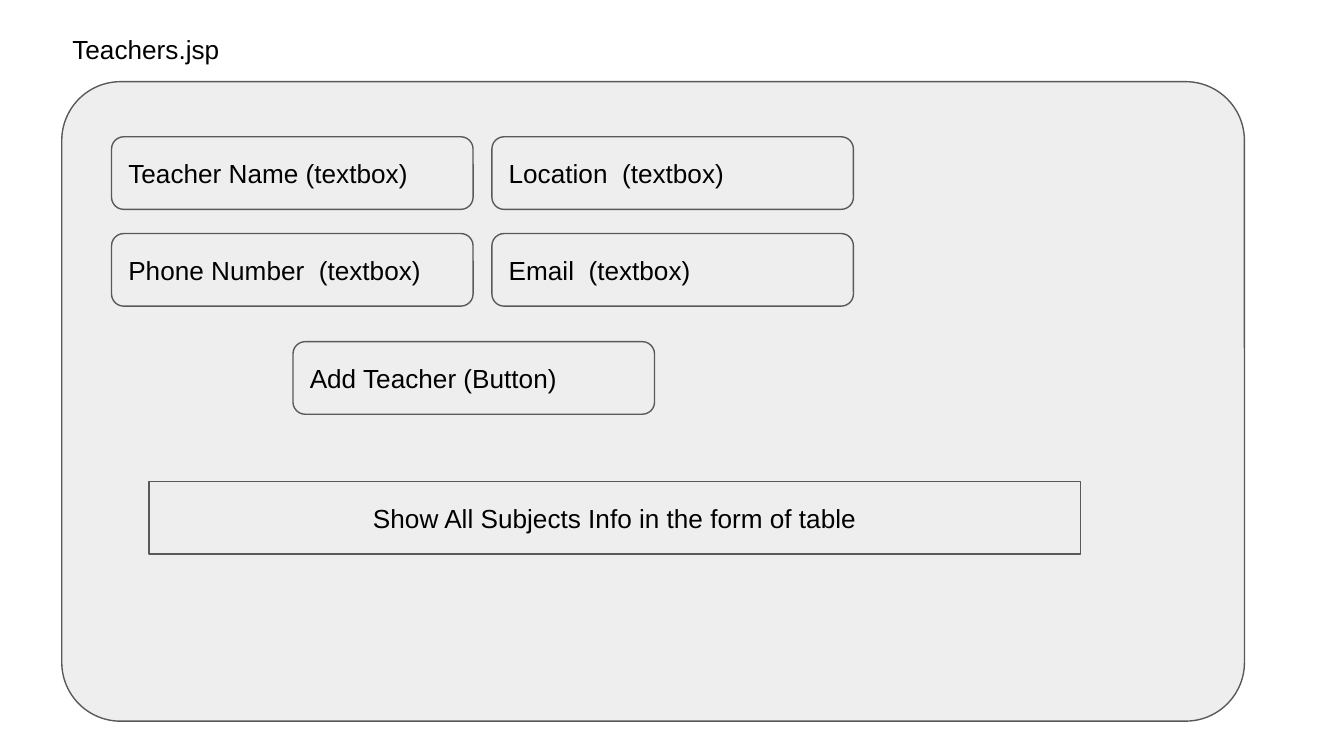
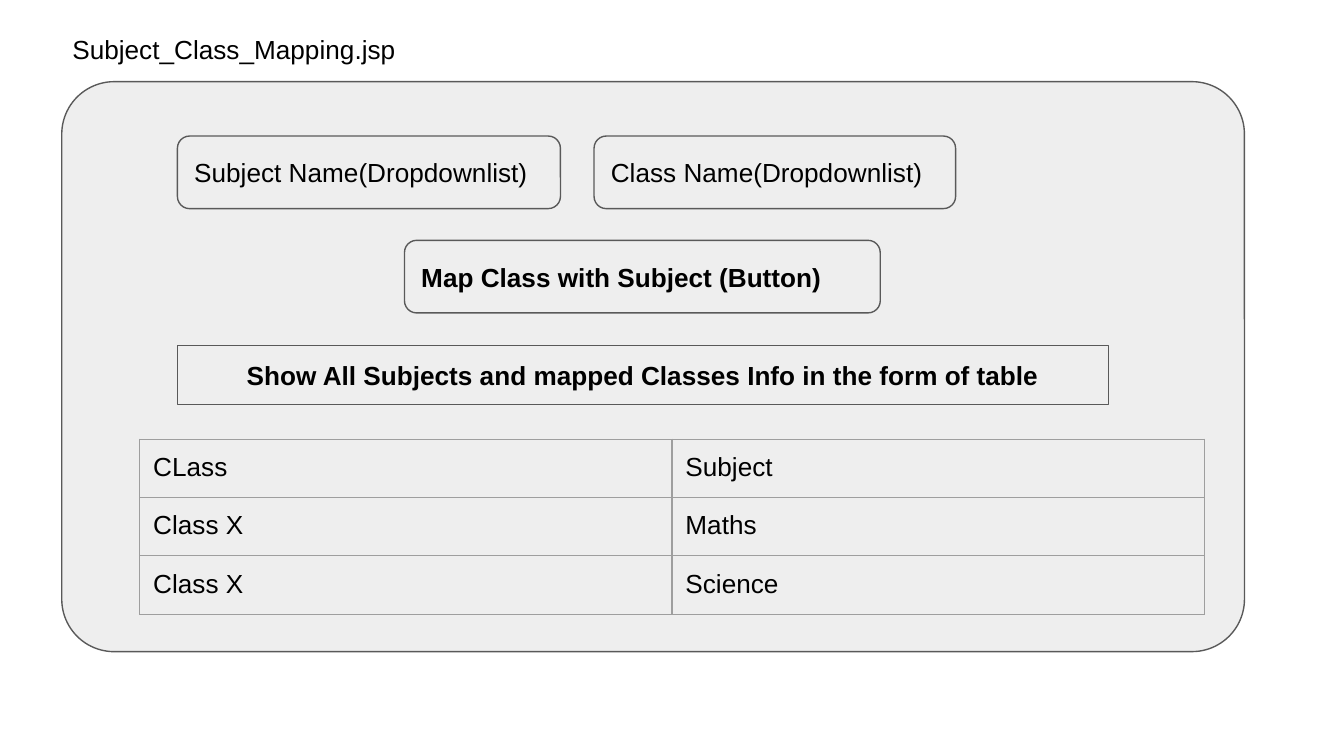
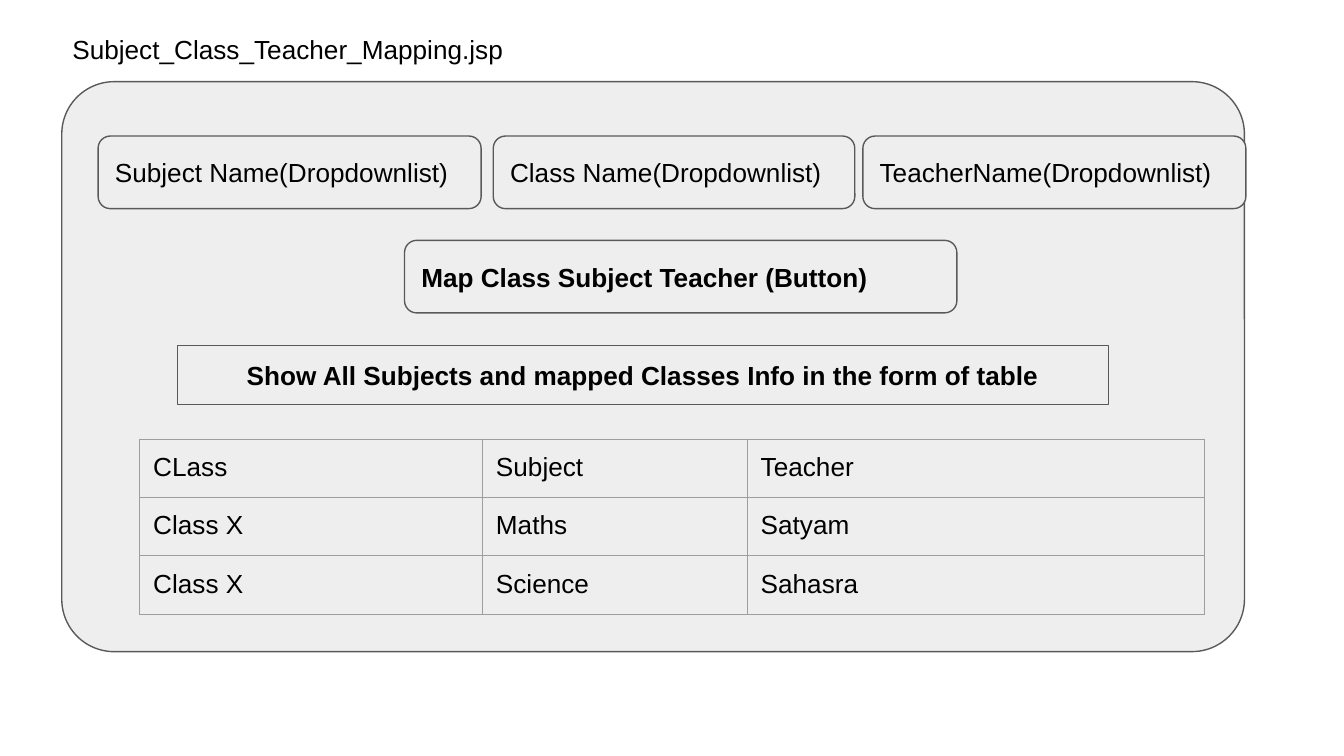
from dataclasses import dataclass
from itertools import product

from lxml.etree import SubElement as Sub
from pptx import Presentation
from pptx.dml.color import RGBColor as Rgb
from pptx.enum.shapes import MSO_SHAPE as Kind
from pptx.enum.text import MSO_ANCHOR as Anchor, MSO_AUTO_SIZE as Fit, PP_ALIGN as Align
from pptx.oxml.ns import qn
from pptx.util import Inches, Pt

WIDE, HIGH = Inches(10), Inches(5.625)


@dataclass(frozen=True)
class Theme:
    """Colours, type and line sizes of all slides."""
    ink: str = "000000"
    fill: str = "EEEEEE"
    edge: str = "595959"
    rule: str = "9E9E9E"
    font: str = "Arial"
    size: float = 14
    line: float = 0.75
    inset: float = 0.1


@dataclass(frozen=True)
class Box:
    """A place, in percent of the slide's width and height."""
    x: float
    y: float
    w: float
    h: float

    def emu(self) -> tuple[int, int, int, int]:
        """Left, top, width and height in slide units."""
        return (int(WIDE * self.x / 100), int(HIGH * self.y / 100),
                int(WIDE * self.w / 100), int(HIGH * self.h / 100))


@dataclass(frozen=True)
class Field:
    """A labelled control on a page."""
    text: str
    box: Box
    bold: bool = False


@dataclass(frozen=True)
class Grid:
    """A table: column widths in percent, and rows of words."""
    cols: tuple[float, ...]
    rows: tuple[tuple[str, ...], ...]


@dataclass(frozen=True)
class Page:
    """One mock-up screen."""
    title: str
    span: float
    depth: float
    fields: tuple[Field, ...]
    note: Field
    grid: Grid | None = None


LOOK = Theme()
TALL = 9.6    # height of a control
SLIM = 26.9   # width of a text box or short list
LONG = 28.5   # width of a long list
BAR = 69.3    # width of the table note
TOP = 18.0    # first row of lists
NEXT = 31.8   # row of the mapping button
TITLE = Box(4.4, 2.7, 0, 7.8)
PANEL = Box(4.6, 10.8, 88, 0)
TABLE = Box(10.4, 58.1, 79.2, 7.5)


def write(frame, text: str, bold: bool = False, align=Align.LEFT) -> None:
    """Put one styled run into a text frame."""
    para = frame.paragraphs[0]
    para.alignment = align
    run = para.add_run()
    run.text = text
    font = run.font
    font.name, font.size, font.bold = LOOK.font, Pt(LOOK.size), bold
    font.color.rgb = Rgb.from_string(LOOK.ink)


def pad(item) -> None:
    """Give a frame or cell equal margins."""
    item.margin_left = item.margin_right = Inches(LOOK.inset)
    item.margin_top = item.margin_bottom = Inches(LOOK.inset)


def block(slide, kind, box: Box, curve: float | None = None):
    """Draw a grey outlined shape."""
    shape = slide.shapes.add_shape(kind, *box.emu())
    shape.shadow.inherit = False
    shape.fill.solid()
    shape.fill.fore_color.rgb = Rgb.from_string(LOOK.fill)
    shape.line.color.rgb = Rgb.from_string(LOOK.edge)
    shape.line.width = Pt(LOOK.line)
    if curve is not None:
        shape.adjustments[0] = curve
    return shape


def label(shape, field: Field, align=Align.LEFT) -> None:
    """Write a field's words in its shape."""
    frame = shape.text_frame
    frame.word_wrap = True
    frame.vertical_anchor = Anchor.MIDDLE
    pad(frame)
    write(frame, field.text, field.bold, align)


def head(slide, text: str, span: float) -> None:
    """Write the file name above the panel."""
    box = Box(TITLE.x, TITLE.y, span, TITLE.h)
    frame = slide.shapes.add_textbox(*box.emu()).text_frame
    frame.word_wrap = True
    frame.auto_size = Fit.SHAPE_TO_FIT_TEXT
    pad(frame)
    write(frame, text)


def border(cell) -> None:
    """Rule all four sides of a cell."""
    props = cell._tc.get_or_add_tcPr()
    for side in ("lnL", "lnR", "lnT", "lnB"):
        line = Sub(props, qn(f"a:{side}"), w=str(Pt(LOOK.line)))
        paint = Sub(line, qn("a:solidFill"))
        Sub(paint, qn("a:srgbClr"), val=LOOK.rule)


def table(slide, grid: Grid) -> None:
    """Draw the table of results."""
    high, wide = len(grid.rows), len(grid.cols)
    box = Box(TABLE.x, TABLE.y, TABLE.w, TABLE.h * high)
    tab = slide.shapes.add_table(high, wide, *box.emu()).table
    tab.first_row = tab.horz_banding = False
    for col, share in zip(tab.columns, grid.cols):
        col.width = int(WIDE * share / 100)
    for r, c in product(range(high), range(wide)):
        cell = tab.cell(r, c)
        pad(cell)
        border(cell)
        cell.fill.background()
        write(cell.text_frame, grid.rows[r][c])


def draw(deck, page: Page) -> None:
    """Draw one screen on a blank slide."""
    slide = deck.slides.add_slide(deck.slide_layouts[6])
    block(slide, Kind.ROUNDED_RECTANGLE,
          Box(PANEL.x, PANEL.y, PANEL.w, page.depth), 0.092)
    head(slide, page.title, page.span)
    for field in page.fields:
        label(block(slide, Kind.ROUNDED_RECTANGLE, field.box, 0.167), field)
    label(block(slide, Kind.RECTANGLE, page.note.box), page.note, Align.CENTER)
    if page.grid:
        table(slide, page.grid)


def form(names: tuple[str, ...]) -> tuple[Field, ...]:
    """Set text boxes out in two columns."""
    return tuple(
        Field(f"{name} (textbox)",
              Box(8.3 + 28.3 * (i % 2), 18.1 + 12.8 * (i // 2), SLIM, TALL))
        for i, name in enumerate(names))


def pick(name: str, x: float, w: float) -> Field:
    """Make a list control in the first row."""
    return Field(f"{name}(Dropdownlist)", Box(x, TOP, w, TALL))


def push(name: str, w: float) -> Field:
    """Make the bold mapping button."""
    return Field(f"{name} (Button)", Box(30.1, NEXT, w, TALL), True)


NOTE = Field("Show All Subjects and mapped Classes Info in the form of table",
             Box(13.2, 45.7, BAR, 7.8), True)
PAIRS = (("CLass", "Subject"), ("Class X", "Maths"), ("Class X", "Science"))
STAFF = ("Teacher", "Satyam", "Sahasra")

PAGES = (
    Page("Teachers.jsp", 17.4, 84.6,
         form(("Teacher Name", "Location ", "Phone Number ", "Email "))
         + (Field("Add Teacher (Button)", Box(21.8, 45.2, SLIM, TALL)),),
         Field("Show All Subjects Info in the form of table",
               Box(11.1, 63.7, BAR, TALL))),
    Page("Subject_Class_Mapping.jsp", 37.3, 75.4,
         (pick("Subject Name", 13.2, LONG), pick("Class Name", 44.2, SLIM),
          push("Map Class with Subject", 35.4)),
         NOTE, Grid((39.6, 39.6), PAIRS)),
    Page("Subject_Class_Teacher_Mapping.jsp", 37.3, 75.4,
         (pick("Subject Name", 7.3, LONG), pick("Class Name", 36.7, SLIM),
          pick("TeacherName", 64.2, LONG),
          push("Map Class Subject Teacher", 41.1)),
         NOTE, Grid((25.5, 19.7, 34),
                    tuple(pair + (name,) for pair, name in zip(PAIRS, STAFF)))),
)


def main() -> None:
    """Build and save the deck."""
    deck = Presentation()
    deck.slide_width, deck.slide_height = WIDE, HIGH
    for page in PAGES:
        draw(deck, page)
    deck.save("out.pptx")


main()
